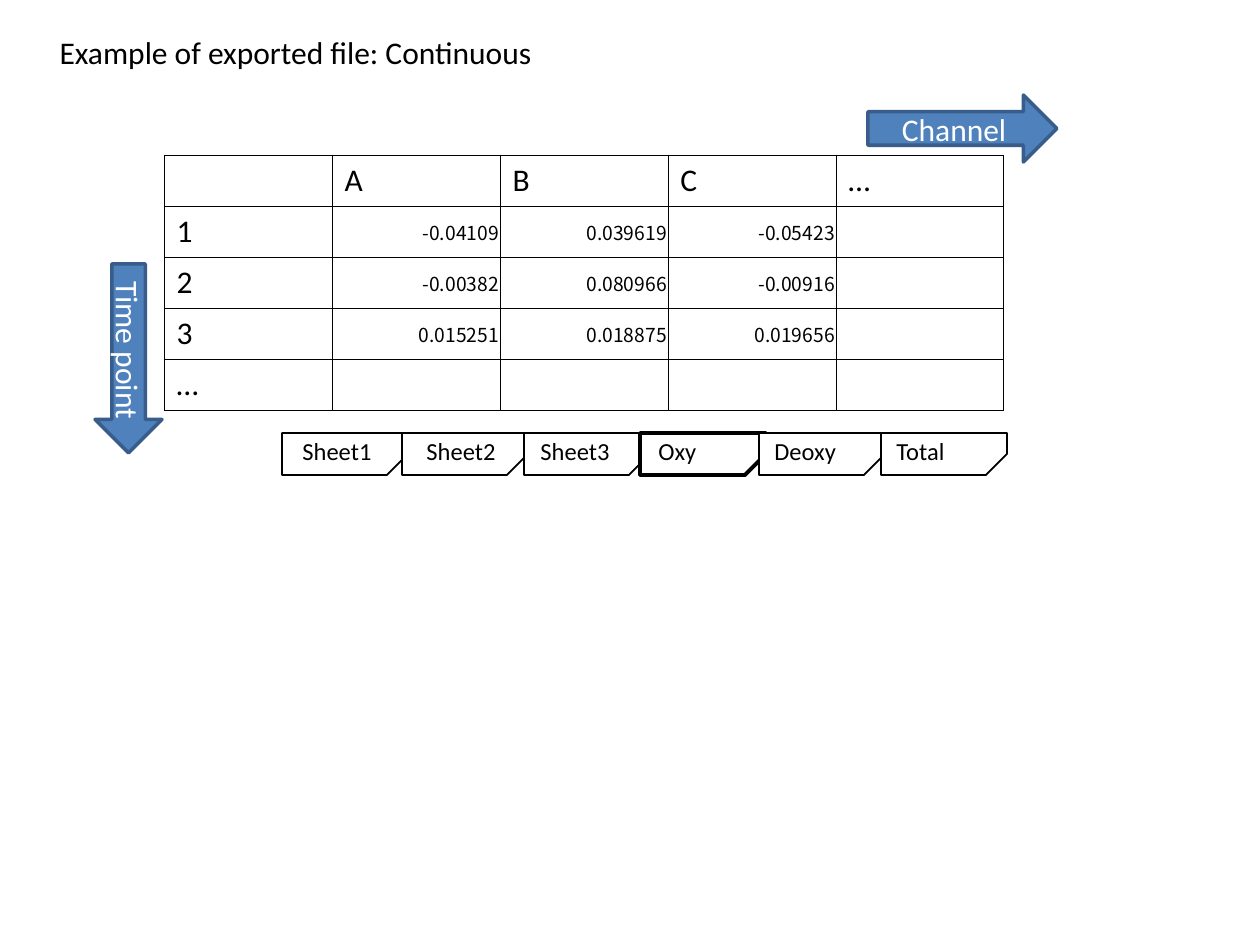
"""Build the slide that explains the sheet layout of a continuous export file."""
import dataclasses

import lxml.etree
import pptx
import pptx.dml.color
import pptx.enum.shapes
import pptx.enum.text
import pptx.oxml.ns
import pptx.util

ALIGN = pptx.enum.text.PP_ALIGN
ANCHOR = pptx.enum.text.MSO_ANCHOR
COLOR = pptx.dml.color.RGBColor.from_string
TITLE_ONLY = 5


def px(length):
    return pptx.util.Emu(round(length * 914400 / 126))


def qn(tag):
    return pptx.oxml.ns.qn(tag)


@dataclasses.dataclass(frozen=True)
class Theme:
    ink: str = "000000"
    paper: str = "FFFFFF"
    accent: str = "4F81BD"
    accent_line: str = "385D8A"
    font: str = "Calibri"
    value_font: str = "Noto Sans CJK JP"
    body: float = 18
    tab: float = 14
    value: float = 11
    border: float = 0.45
    thin: float = 1
    arrow_line: float = 2
    thick: float = 2.25


class SlideBuilder:
    def __init__(self, page, theme):
        self.page = page
        self.theme = theme

    def span(self, para, text, size, color=None, font=None):
        run = para.add_run()
        run.text = text
        run.font.size = pptx.util.Pt(size)
        run.font.name = font or self.theme.font
        run.font.color.rgb = COLOR(color or self.theme.ink)

    def paint(self, shape, fill, line, width):
        shape.shadow.inherit = False
        shape.fill.solid()
        shape.fill.fore_color.rgb = COLOR(fill)
        shape.line.color.rgb = COLOR(line)
        shape.line.width = pptx.util.Pt(width)

    def title(self, text, left, top, width, height):
        box = self.page.shapes.title
        box.left, box.top, box.width, box.height = map(px, (left, top, width, height))
        frame = box.text_frame
        frame.auto_size = pptx.enum.text.MSO_AUTO_SIZE.NONE
        frame.vertical_anchor = ANCHOR.TOP
        para = frame.paragraphs[0]
        para.alignment = ALIGN.LEFT
        self.span(para, text, self.theme.body)

    def borders(self, cell):
        properties = cell._tc.get_or_add_tcPr()
        for side in ("L", "R", "T", "B"):
            line = lxml.etree.SubElement(properties, qn(f"a:ln{side}"))
            line.set("w", str(pptx.util.Pt(self.theme.border)))
            fill = lxml.etree.SubElement(line, qn("a:solidFill"))
            lxml.etree.SubElement(fill, qn("a:srgbClr")).set("val", self.theme.ink)

    def table(self, rows, left, top, column_width, row_height):
        count = len(rows[0])
        table = self.page.shapes.add_table(
            len(rows), count, px(left), px(top),
            px(column_width * count), px(row_height * len(rows))).table
        table.first_row = table.horz_banding = False
        for column in table.columns:
            column.width = px(column_width)
        for row_index, row in enumerate(rows):
            table.rows[row_index].height = px(row_height)
            for column_index, text in enumerate(row):
                cell = table.cell(row_index, column_index)
                self.borders(cell)
                cell.fill.background()
                if not text:
                    continue
                para = cell.text_frame.paragraphs[0]
                if row_index and column_index:
                    cell.margin_left = cell.margin_right = px(1)
                    cell.vertical_anchor = ANCHOR.MIDDLE
                    para.alignment = ALIGN.RIGHT
                    self.span(para, text, self.theme.value, font=self.theme.value_font)
                else:
                    self.span(para, text, self.theme.body)

    def sheet_tab(self, left, top, width, height, cut, line_width):
        right, bottom = left + width, top + height
        points = [(right - cut, bottom), (right, bottom - cut), (right, top), (left, top)]
        outline = self.page.shapes.build_freeform(px(left), px(bottom))
        outline.add_line_segments([(px(x), px(y)) for x, y in points], close=True)
        self.paint(outline.convert_to_shape(), self.theme.paper, self.theme.ink, line_width)

    def tab_labels(self, labels, starts, left, top, width, height):
        box = self.page.shapes.add_textbox(px(left), px(top), px(width), px(height))
        box.text_frame.word_wrap = True
        para = box.text_frame.paragraphs[0]
        stops = lxml.etree.SubElement(para._p.get_or_add_pPr(), qn("a:tabLst"))
        for start in starts[1:]:
            stop = lxml.etree.SubElement(stops, qn("a:tab"))
            stop.set("pos", str(px(start - starts[0])))
            stop.set("algn", "l")
        for index, label in enumerate(labels):
            self.span(para, "\t" + label if index else label, self.theme.tab)

    def arrow(self, text, left, top, width, height, rotation=0):
        arrow = self.page.shapes.add_shape(
            pptx.enum.shapes.MSO_SHAPE.RIGHT_ARROW,
            px(left), px(top), px(width), px(height))
        arrow.rotation = rotation
        self.paint(arrow, self.theme.accent, self.theme.accent_line, self.theme.arrow_line)
        arrow.text_frame.vertical_anchor = ANCHOR.MIDDLE
        para = arrow.text_frame.paragraphs[0]
        para.alignment = ALIGN.CENTER
        self.span(para, text, self.theme.body, self.theme.paper)


def main():
    deck = pptx.Presentation()
    deck.slide_width, deck.slide_height = px(1260), px(945)
    page = deck.slides.add_slide(deck.slide_layouts[TITLE_ONLY])
    theme = Theme()
    builder = SlideBuilder(page, theme)

    builder.title("Example of exported file: Continuous", 47, 27, 499, 51)
    builder.table([
        ("", "A", "B", "C", "…"),
        ("1", "-0.04109", "0.039619", "-0.05423", ""),
        ("2", "-0.00382", "0.080966", "-0.00916", ""),
        ("3", "0.015251", "0.018875", "0.019656", ""),
        ("…", "", "", "", ""),
    ], 164, 155, 168, 51)

    sheets = [("Sheet1", 282, 302), ("Sheet2", 402, 426), ("Sheet3", 524, 540),
              ("Oxy", 640, 658), ("Deoxy", 759, 774), ("Total", 881, 896)]
    labels, lefts, starts = zip(*sheets)
    for label, left in zip(labels, lefts):
        width = theme.thick if label == "Oxy" else theme.thin
        builder.sheet_tab(left, 433, 126, 42, 21, width)
    builder.tab_labels(labels, starts, 290, 430, 673, 43)

    builder.arrow("Channel", 868, 95, 189, 67)
    builder.arrow("Time point", 34, 325, 189, 67, rotation=90)
    deck.save("out.pptx")


if __name__ == "__main__":
    main()
